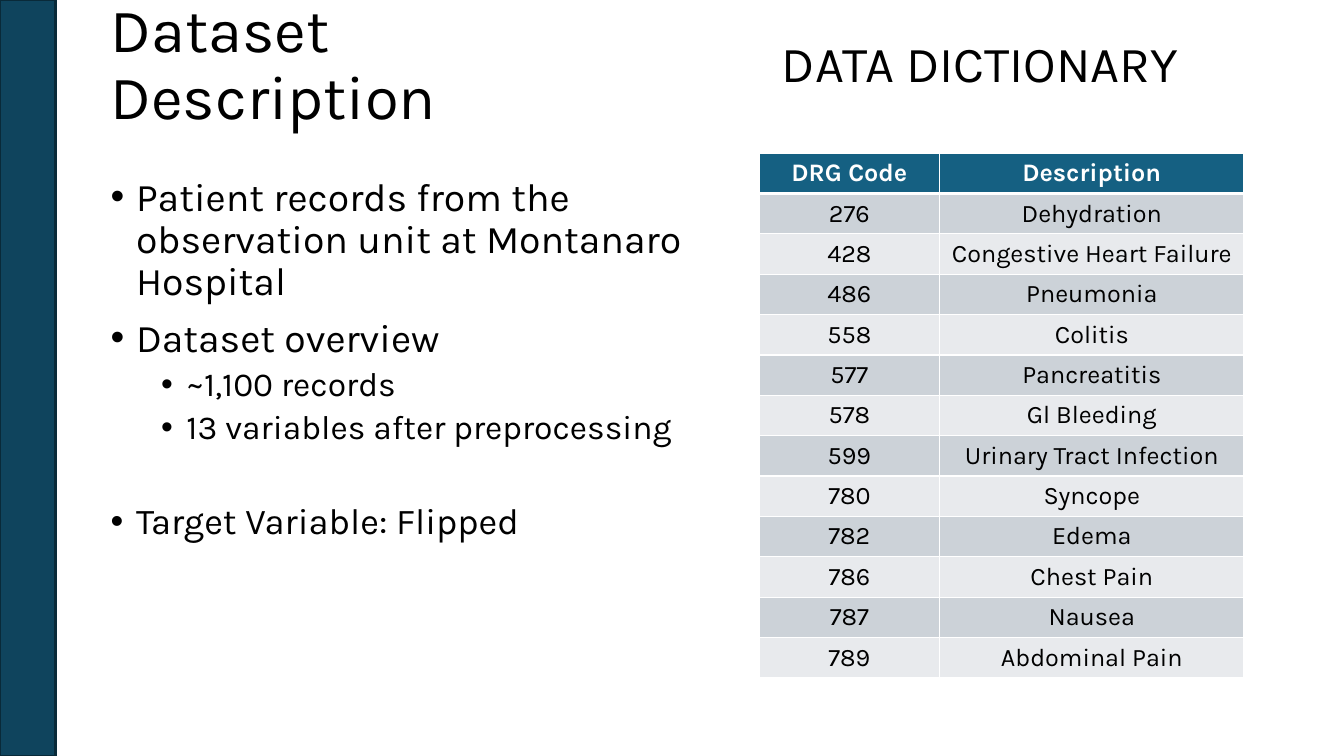
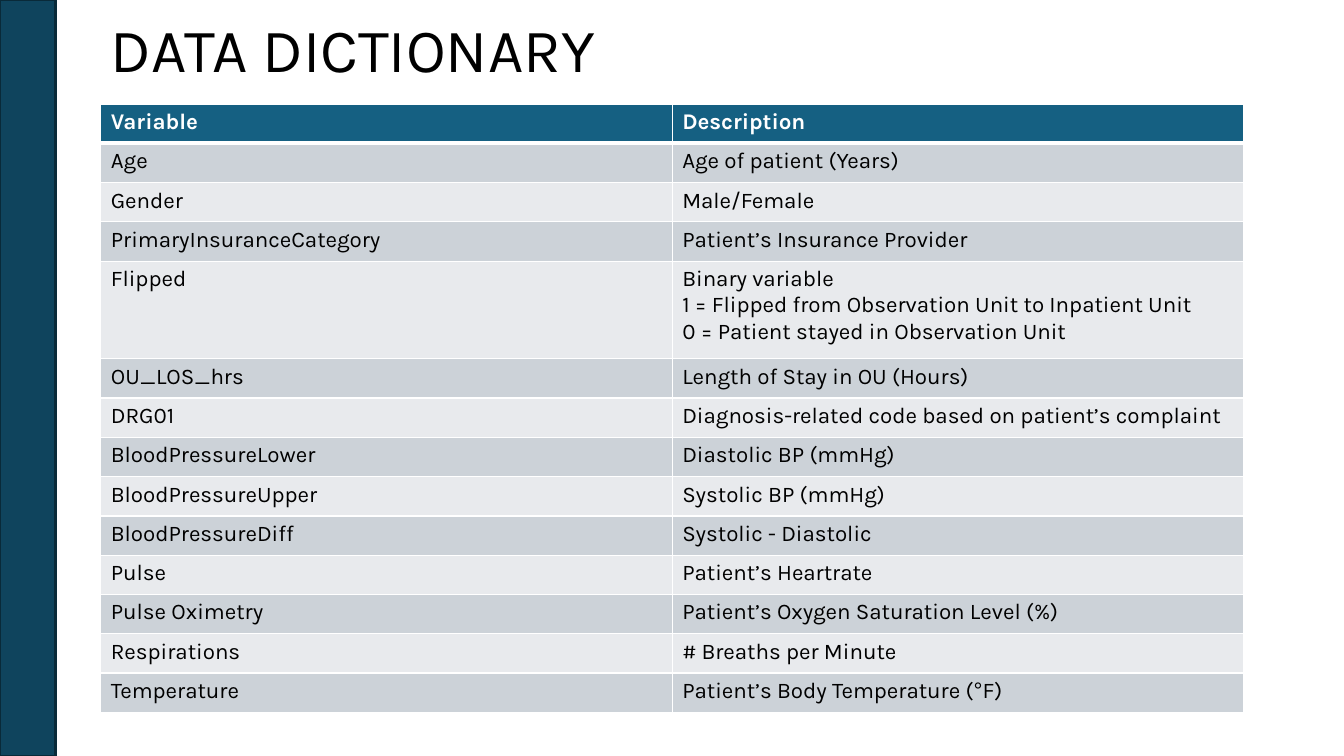
from lxml.etree import SubElement
from pptx import Presentation
from pptx.dml.color import RGBColor
from pptx.enum.shapes import MSO_SHAPE
from pptx.enum.text import MSO_ANCHOR as Anchor, PP_ALIGN as Align
from pptx.oxml.ns import qn
from pptx.util import Cm, Pt

FONT = "Karla"
BLACK, WHITE = "000000", "FFFFFF"
BAND, BAND_EDGE = "0F445D", "092A39"
HEADER, ROW_DARK, ROW_LIGHT = "156082", "CCD2D8", "E8EAED"
hex_color = RGBColor.from_string


def style_text(paragraph, size, color=BLACK, bold=False, align=Align.LEFT):
    paragraph.alignment = align
    font = paragraph.font
    font.name, font.size, font.bold = FONT, Pt(size), bold
    font.color.rgb = hex_color(color)


def add_dictionary(slide, left, top, widths, heights, rows, size, align, anchor):
    frame = slide.shapes.add_table(len(rows), len(widths), Cm(left), Cm(top),
                                   Cm(sum(widths)), Cm(sum(heights)))
    table = frame.table
    table.horz_banding = False
    for column, width in zip(table.columns, widths):
        column.width = Cm(width)
    for r, (row, height) in enumerate(zip(rows, heights)):
        table.rows[r].height = Cm(height)
        is_header = r == 0
        fill = HEADER if is_header else ROW_DARK if r % 2 else ROW_LIGHT
        for c, value in enumerate(row):
            cell = table.cell(r, c)
            cell.text = value
            cell.vertical_anchor = anchor
            for paragraph in cell.text_frame.paragraphs:
                style_text(paragraph, size, WHITE if is_header else BLACK,
                           is_header, align)
            # White rules, thicker between the header and the first row
            edges = {"lnL": 1, "lnR": 1, "lnT": 3 if r == 1 else 1,
                     "lnB": 3 if is_header else 1}
            properties = cell._tc.get_or_add_tcPr()
            for edge, points in edges.items():
                line = SubElement(properties, qn("a:" + edge), w=str(Pt(points)))
                solid = SubElement(line, qn("a:solidFill"))
                SubElement(solid, qn("a:srgbClr"), val=WHITE)
            cell.fill.solid()
            cell.fill.fore_color.rgb = hex_color(fill)
    return table


deck = Presentation()
deck.slide_width, deck.slide_height = Cm(33.87), Cm(19.05)
blank = deck.slide_layouts[6]
overview = deck.slides.add_slide(blank)
variables = deck.slides.add_slide(blank)

# Side band on every slide
for slide in (overview, variables):
    band = slide.shapes.add_shape(MSO_SHAPE.RECTANGLE, 0, 0, Cm(1.4), deck.slide_height)
    band.shadow.inherit = False
    band.fill.solid()
    band.fill.fore_color.rgb = hex_color(BAND)
    band.line.color.rgb = hex_color(BAND_EDGE)
    band.line.width = Pt(1.5)

# Headings: slide, text, left, top, width, size, alignment
headings = [
    (overview, "Dataset Description", 2.54, 0.4, 14.4, 44, Align.LEFT),
    (overview, "DATA DICTIONARY", 17.5, 0.4, 14.4, 36, Align.CENTER),
    (variables, "DATA DICTIONARY", 2.54, 0.05, 28.8, 44, Align.LEFT),
]
for slide, text, left, top, width, size, align in headings:
    heading = slide.shapes.add_textbox(Cm(left), Cm(top), Cm(width), Cm(2.54)).text_frame
    heading.word_wrap = True
    heading.vertical_anchor = Anchor.MIDDLE
    heading.text = text
    heading.paragraphs[0].line_spacing = 0.9
    style_text(heading.paragraphs[0], size, align=align)

# Dataset facts: text, size, indent in cm, space before in points
facts = [
    ("Patient records from the observation unit at Montanaro Hospital", 28, 0.64, 10),
    ("Dataset overview", 28, 0.64, 10),
    ("~1,100 records", 24, 1.91, 5),
    ("13 variables after preprocessing", 24, 1.91, 5),
    ("Target Variable: Flipped", 26, 0.64, 40),
]
body = overview.shapes.add_textbox(Cm(2.54), Cm(4.34), Cm(14.96), Cm(12.24)).text_frame
body.word_wrap = True
body.text = "\n".join(fact[0] for fact in facts)
for paragraph, (text, size, indent, space) in zip(body.paragraphs, facts):
    paragraph.level = 0 if indent < 1 else 1
    bullet = paragraph._p.get_or_add_pPr()
    bullet.set("marL", str(Cm(indent)))
    bullet.set("indent", str(-Cm(0.64)))
    SubElement(bullet, qn("a:buFont"), typeface="Arial")
    SubElement(bullet, qn("a:buChar"), char="•")
    paragraph.line_spacing = 0.9
    paragraph.space_before = Pt(space)
    style_text(paragraph, size)

# Diagnosis codes
codes = [
    ("DRG Code", "Description"),
    ("276", "Dehydration"),
    ("428", "Congestive Heart Failure"),
    ("486", "Pneumonia"),
    ("558", "Colitis"),
    ("577", "Pancreatitis"),
    ("578", "Gl Bleeding"),
    ("599", "Urinary Tract Infection"),
    ("780", "Syncope"),
    ("782", "Edema"),
    ("786", "Chest Pain"),
    ("787", "Nausea"),
    ("789", "Abdominal Pain"),
]
code_table = add_dictionary(overview, 19.13, 3.86, [4.55, 7.67], [1] * len(codes),
                            codes, 18, Align.CENTER, Anchor.MIDDLE)
for r in range(1, len(codes)):
    description = code_table.cell(r, 1)
    description.margin_left = description.margin_right = 0
    description.margin_top = description.margin_bottom = 0

# Variable definitions
definitions = [
    ("Variable", "Description"),
    ("Age", "Age of patient (Years)"),
    ("Gender", "Male/Female"),
    ("PrimaryInsuranceCategory", "Patient’s Insurance Provider"),
    ("Flipped", "Binary variable\n"
                "1 = Flipped from Observation Unit to Inpatient Unit\n"
                "0 = Patient stayed in Observation Unit"),
    ("OU_LOS_hrs", "Length of Stay in OU (Hours)"),
    ("DRG01", "Diagnosis-related code based on patient’s complaint"),
    ("BloodPressureLower", "Diastolic BP (mmHg)"),
    ("BloodPressureUpper", "Systolic BP (mmHg)"),
    ("BloodPressureDiff", "Systolic - Diastolic"),
    ("Pulse", "Patient’s Heartrate"),
    ("Pulse Oximetry", "Patient’s Oxygen Saturation Level (%)"),
    ("Respirations", "# Breaths per Minute"),
    ("Temperature", "Patient’s Body Temperature ("),
]
heights = [2.46 if "\n" in meaning else 0.99 for _, meaning in definitions]
variable_table = add_dictionary(variables, 2.54, 2.62, [14.4, 14.4], heights,
                                definitions, 16, Align.LEFT, Anchor.TOP)

# The degree sign is set in another font
temperature = variable_table.cell(len(definitions) - 1, 1).text_frame.paragraphs[0]
degree = temperature.add_run()
degree.text = "°"
degree.font.name = "Arial"
temperature.add_run().text = "F)"

deck.save("out.pptx")
